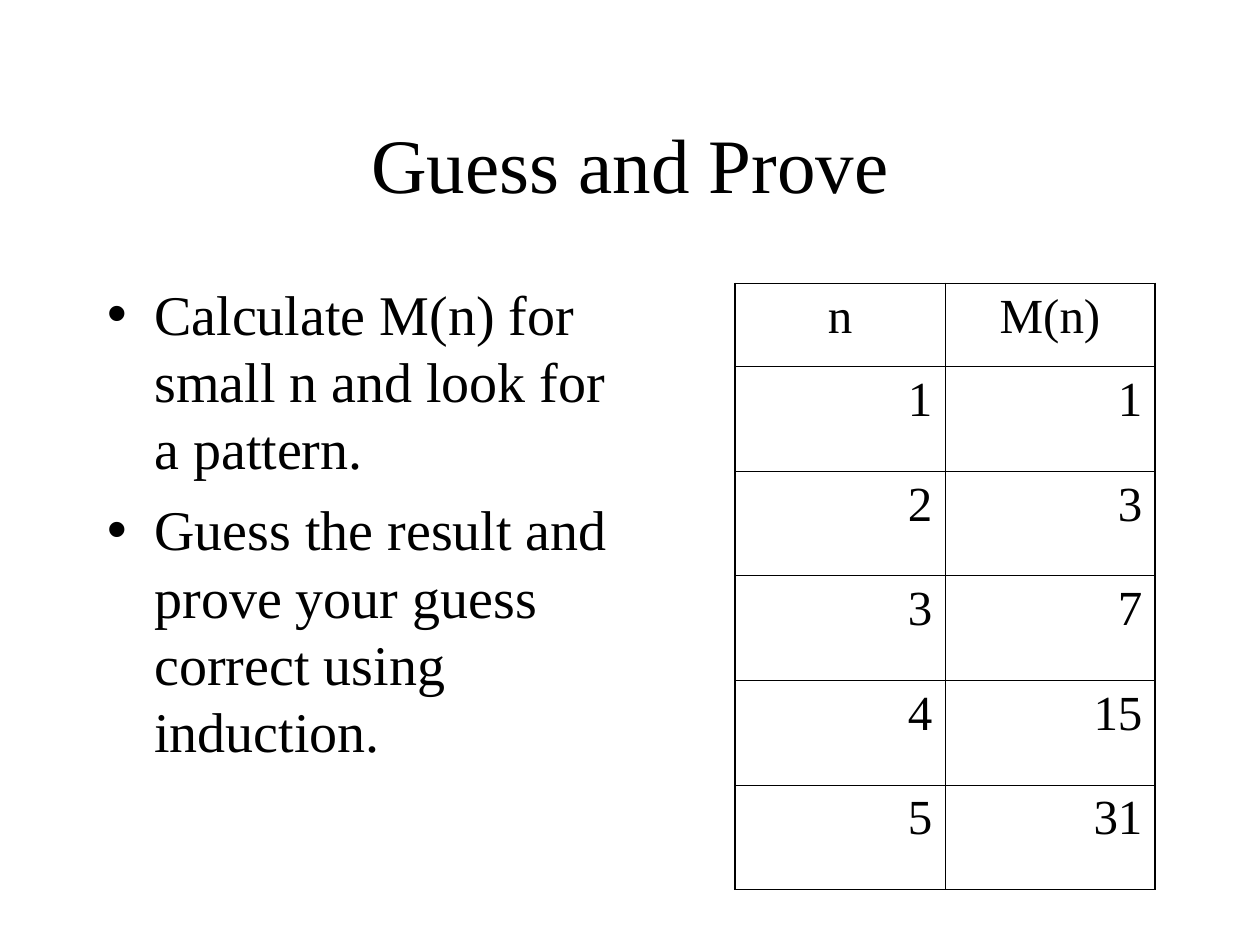
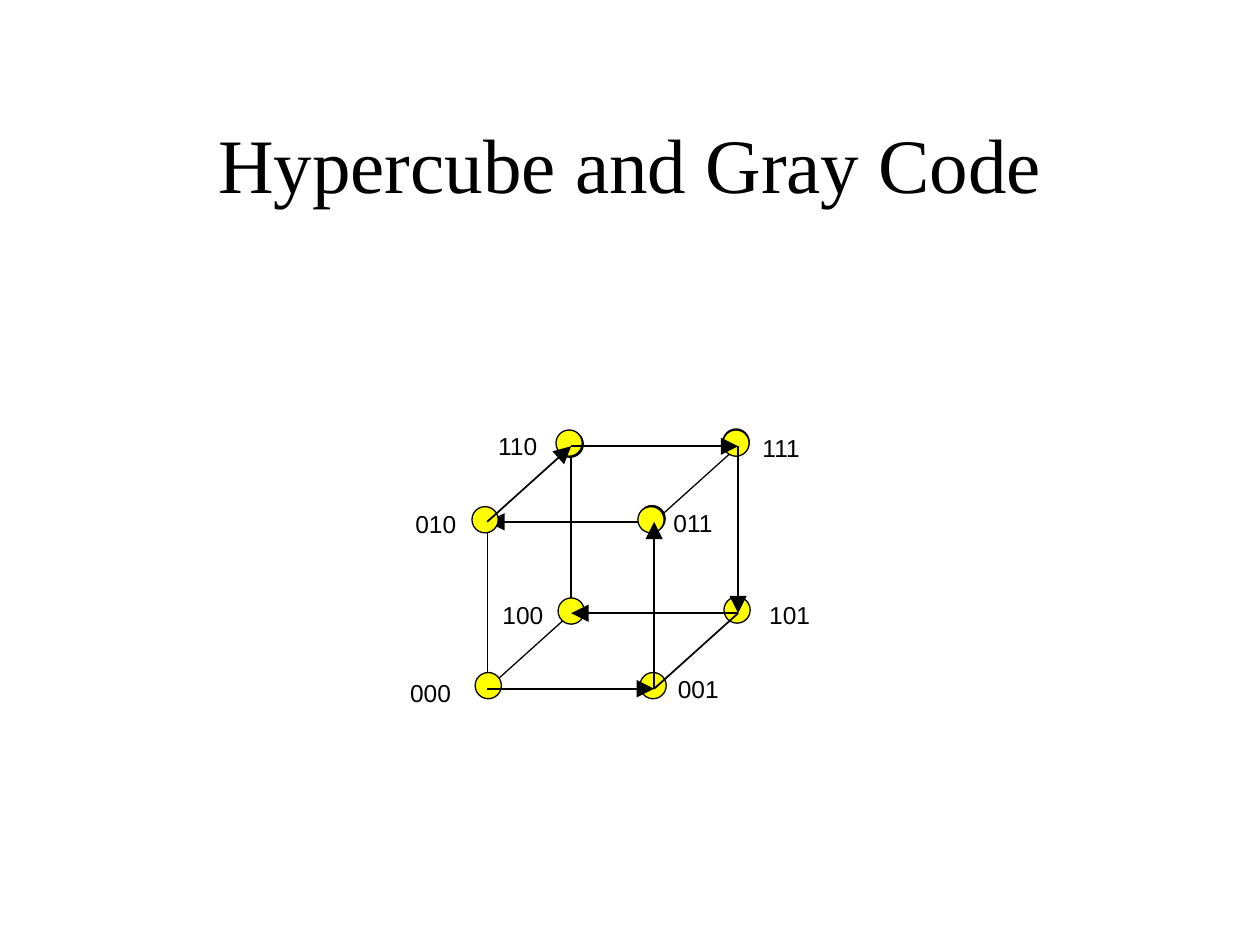
from lxml.etree import SubElement
from pptx import Presentation
from pptx.dml.color import RGBColor
from pptx.enum.shapes import MSO_CONNECTOR, MSO_SHAPE
from pptx.enum.text import MSO_ANCHOR, MSO_AUTO_SIZE, PP_ALIGN
from pptx.oxml.ns import qn
from pptx.util import Inches, Pt

hex_color = RGBColor.from_string
BLACK, YELLOW = "000000", "FFFF00"
SERIF, SANS = "Times New Roman", "Arial"

presentation = Presentation()
presentation.slide_width, presentation.slide_height = Inches(10), Inches(7.5)
COLUMN = presentation.slide_width / 12
ROW = presentation.slide_height / 9


def write_text(frame, text, size, font=SERIF, align=PP_ALIGN.LEFT, anchor=MSO_ANCHOR.TOP,
               wrap=True, gap=0):
    """Fill a text frame, one paragraph per line, with gap points between paragraphs."""
    frame.text = text
    frame.word_wrap = wrap
    frame.vertical_anchor = anchor
    for index, paragraph in enumerate(frame.paragraphs):
        paragraph.alignment = align
        paragraph.space_before = Pt(gap if index else 0)
        paragraph.font.size = Pt(size)
        paragraph.font.name = font
        paragraph.font.color.rgb = hex_color(BLACK)


def draw_edges(slide, edges, corners):
    """Join pairs of corners; each edge is (start, end, line width, has arrow)."""
    for start, end, width, has_arrow in edges:
        ends = [round(value) for value in corners[start] + corners[end]]
        connector = slide.shapes.add_connector(MSO_CONNECTOR.STRAIGHT, *ends)
        connector.line.color.rgb = hex_color(BLACK)
        connector.line.width = Pt(width)
        properties = connector._element.spPr
        if has_arrow:
            SubElement(properties.find(qn("a:ln")), qn("a:tailEnd"),
                       type="triangle", w="lg", len="lg")
        SubElement(properties, qn("a:effectLst"))


# Both slides: layout and title
TITLE_AND_CONTENT, TITLE_ONLY = 1, 5
slides = []
for layout, heading in [(TITLE_AND_CONTENT, "Guess and Prove"),
                        (TITLE_ONLY, "Hypercube and Gray Code")]:
    slide = presentation.slides.add_slide(presentation.slide_layouts[layout])
    title = slide.shapes.title
    title.left, title.top = round(0.9 * COLUMN), round(0.8 * ROW)
    title.width, title.height = round(10.2 * COLUMN), round(1.5 * ROW)
    write_text(title.text_frame, heading, 44, align=PP_ALIGN.CENTER, anchor=MSO_ANCHOR.MIDDLE)
    title.text_frame.auto_size = MSO_AUTO_SIZE.NONE
    slides.append(slide)
guess_slide, cube_slide = slides

# Slide 1: steps on the left
steps = guess_slide.placeholders[1]
steps.left, steps.top = round(0.9 * COLUMN), round(2.6 * ROW)
steps.width, steps.height = round(5.1 * COLUMN), round(5.4 * ROW)
write_text(steps.text_frame,
           "Calculate M(n) for small n and look for a pattern.\n"
           "Guess the result and prove your guess correct using induction.",
           32, gap=8)
steps.text_frame.auto_size = MSO_AUTO_SIZE.NONE

# Slide 1: table of M(n) on the right
HEADER_HEIGHT, VALUE_HEIGHT = Inches(0.66), Inches(0.83)
values = [("n", "M(n)"), ("1", "1"), ("2", "3"), ("3", "7"), ("4", "15"), ("5", "31")]
last_row, last_column = len(values) - 1, 1
table = guess_slide.shapes.add_table(
    len(values), 2, round(7 * COLUMN), round(2.7 * ROW),
    round(4 * COLUMN), HEADER_HEIGHT + last_row * VALUE_HEIGHT).table
table.first_row = table.horz_banding = False
for row, texts in enumerate(values):
    table.rows[row].height = VALUE_HEIGHT if row else HEADER_HEIGHT
    for column, text in enumerate(texts):
        cell = table.cell(row, column)
        write_text(cell.text_frame, text, 28,
                   align=PP_ALIGN.RIGHT if row else PP_ALIGN.CENTER)
        outer_sides = {"a:lnL": column == 0, "a:lnR": column == last_column,
                       "a:lnT": row == 0, "a:lnB": row == last_row}
        cell_properties = cell._tc.get_or_add_tcPr()
        for side, is_outer in outer_sides.items():
            border = SubElement(cell_properties, qn(side), w=str(Pt(1.08 if is_outer else 0.45)))
            SubElement(SubElement(border, qn("a:solidFill")), qn("a:srgbClr"), val=BLACK)
        cell.fill.background()

# Slide 2: the bits of a code say how far its corner lies back, up and right
CUBE_LEFT, CUBE_BOTTOM, EDGE = 4.64, 6.56, 1.59
DEPTH_RIGHT, DEPTH_UP = 0.8, 0.72
DIAMETER = 0.25
LABEL_WIDTH, LABEL_HEIGHT = 0.8, 0.4

# Code: shift of the node, then of the label, from the corner
vertices = {
    "000": ((0.01, -0.03), (-0.54, 0.04)),
    "001": ((-0.01, -0.03), (0.42, 0)),
    "101": ((-0.01, -0.03), (0.49, 0.02)),
    "100": ((0, -0.02), (-0.46, 0.02)),
    "010": ((-0.02, -0.02), (-0.49, 0.02)),
    "011": ((-0.03, -0.02), (0.37, 0.01)),
    "110": ((-0.02, -0.03), (-0.51, 0)),
    "111": ((-0.02, -0.03), (0.41, 0.01)),
}
corners = {}
for code in vertices:
    back, up, right = map(int, code)
    corners[code] = (COLUMN * (CUBE_LEFT + EDGE * right + DEPTH_RIGHT * back),
                     ROW * (CUBE_BOTTOM - EDGE * up - DEPTH_UP * back))

draw_edges(cube_slide, [
    ("011", "010", 1, True),
    ("000", "010", 0.75, False),
    ("100", "110", 1, False),
    ("000", "100", 0.75, False),
    ("011", "111", 0.75, False),
], corners)

# Three nodes have a black disc peeking out from behind
discs = [("011", BLACK, 0.01, -0.01), ("110", BLACK, 0.01, 0.01), ("111", BLACK, 0, -0.01)]
discs += [(code, YELLOW, 0, 0) for code in vertices]
for code, fill, offset_x, offset_y in discs:
    (shift_x, shift_y), _ = vertices[code]
    x, y = corners[code]
    node = cube_slide.shapes.add_shape(
        MSO_SHAPE.OVAL,
        round(x + COLUMN * (shift_x + offset_x - DIAMETER / 2)),
        round(y + ROW * (shift_y + offset_y - DIAMETER / 2)),
        round(DIAMETER * COLUMN), round(DIAMETER * ROW))
    node.shadow.inherit = False
    node.fill.solid()
    node.fill.fore_color.rgb = hex_color(fill)
    node.line.color.rgb = hex_color(BLACK)
    node.line.width = Pt(0.75)

for code, (_, (shift_x, shift_y)) in vertices.items():
    x, y = corners[code]
    label = cube_slide.shapes.add_textbox(
        round(x + COLUMN * (shift_x - LABEL_WIDTH / 2)),
        round(y + ROW * (shift_y - LABEL_HEIGHT / 2)),
        round(LABEL_WIDTH * COLUMN), round(LABEL_HEIGHT * ROW))
    write_text(label.text_frame, code, 14, font=SANS, align=PP_ALIGN.CENTER, wrap=False)

draw_edges(cube_slide, [
    ("000", "001", 1, True),
    ("001", "101", 1, False),
    ("101", "100", 1, True),
    ("001", "011", 0.75, True),
    ("010", "110", 1, True),
    ("110", "111", 1, True),
    ("111", "101", 1, True),
], corners)

presentation.save("out.pptx")
